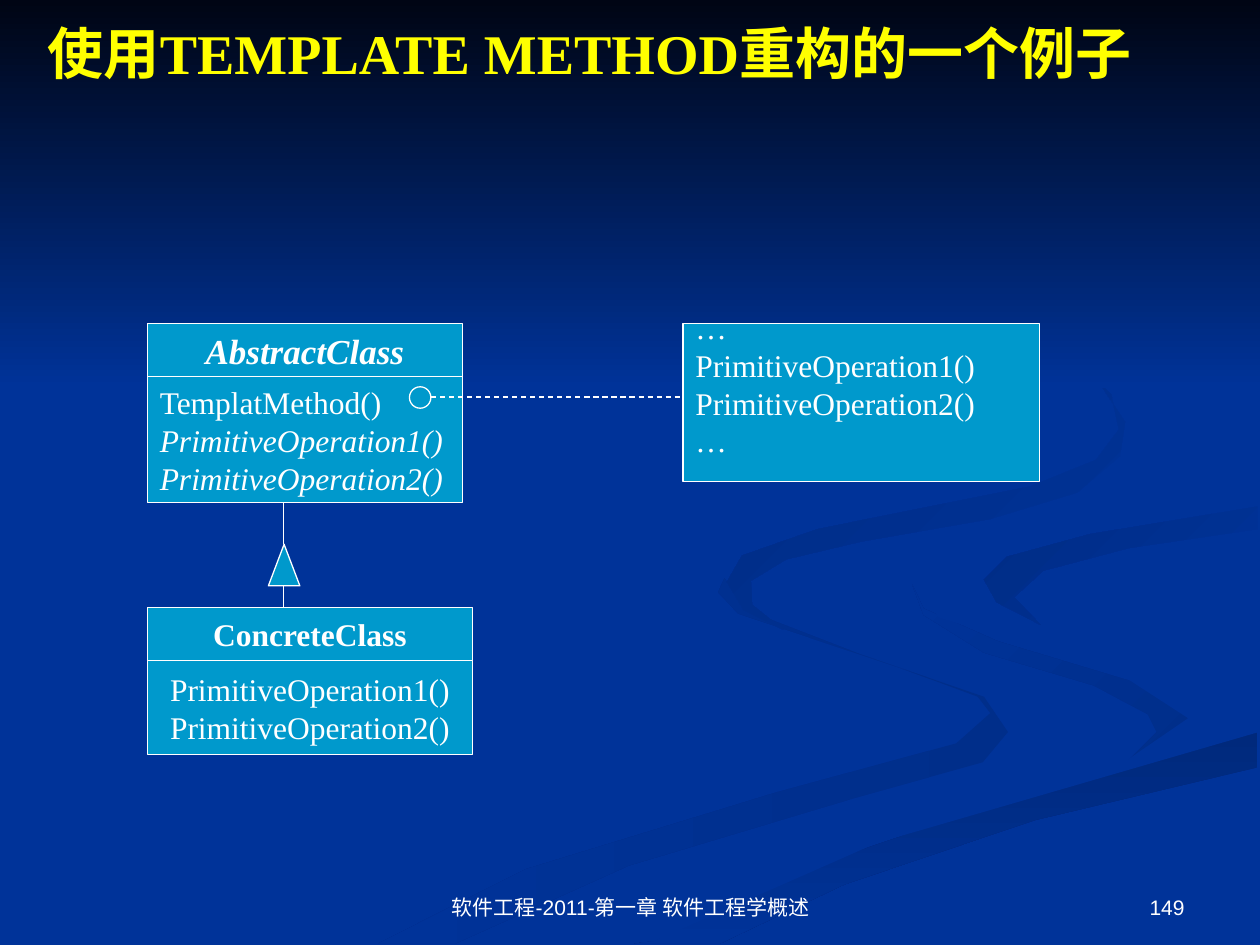
"""Template Method refactoring slide: class diagram on a blue swirl background."""
from pptx import Presentation
from pptx.dml.color import RGBColor
from pptx.enum.dml import MSO_LINE
from pptx.enum.shapes import MSO_CONNECTOR, MSO_SHAPE
from pptx.enum.text import MSO_ANCHOR, PP_ALIGN
from pptx.oxml.ns import qn
from pptx.util import Inches, Pt
from lxml import etree

BLUE, CYAN, WHITE = "003399", "0099CC", "FFFFFF"
SERIF = "Times New Roman"


def paint(color, hex_value):
    color.rgb = RGBColor.from_string(hex_value)


def write(sp, lines, size=18, font=SERIF, color=WHITE, bold=False, italic=(),
          align=PP_ALIGN.LEFT, anchor=MSO_ANCHOR.MIDDLE, wrap=False):
    tf = sp.text_frame
    tf.word_wrap = wrap
    tf.vertical_anchor = anchor
    for i, line in enumerate(lines):
        p = tf.paragraphs[0] if i == 0 else tf.add_paragraph()
        p.alignment = align
        r = p.add_run()
        r.text = line
        r.font.name, r.font.size = font, Pt(size)
        r.font.bold, r.font.italic = bold, i in italic
        paint(r.font.color, color)


prs = Presentation()
prs.slide_width, prs.slide_height = Inches(10), Inches(7.5)
s = prs.slides.add_slide(prs.slide_layouts[6])
s.background.fill.solid()
paint(s.background.fill.fore_color, BLUE)

swirls = [
    ("002E8A", BLUE, 180, [
        (575, 459), (570, 470), (586, 487), (714, 530), (776, 553), (786, 566), (759, 590),
        (616, 629), (417, 690), (300, 749), (361, 749), (499, 687), (676, 634), (780, 605),
        (800, 581), (781, 553), (682, 519), (594, 485)]),
    ("002E8A", BLUE, 225, [
        (724, 464), (733, 488), (781, 518), (868, 544), (911, 567), (918, 581), (894, 605),
        (937, 586), (943, 570), (919, 547), (792, 509), (733, 483)]),
    ("00297C", BLUE, 90, [
        (503, 749), (571, 749), (670, 702), (821, 651), (998, 609), (998, 581), (764, 647),
        (630, 693), (519, 747)]),
    (BLUE, BLUE, 0, [
        (725, 464), (745, 490), (889, 535), (943, 570), (892, 605), (704, 655), (477, 749),
        (519, 747), (696, 669), (999, 581), (999, 538), (832, 498), (781, 463), (850, 427),
        (999, 402), (999, 387), (788, 422)]),
    (BLUE, "002C85", 225, [
        (781, 460), (791, 478), (826, 496), (805, 474), (828, 453), (896, 435), (998, 420),
        (998, 402), (865, 424), (799, 442)]),
    (BLUE, "002B81", 225, [
        (683, 430), (786, 412), (855, 391), (889, 362), (893, 335), (864, 291), (810, 256),
        (762, 233), (846, 279), (882, 313), (888, 341), (870, 365), (818, 386), (649, 420),
        (589, 441), (577, 462), (590, 484), (622, 500), (597, 480), (596, 461), (624, 444)]),
    ("000514", BLUE, 90, [(0, 0), (0, 308), (1000, 308), (1000, 0)]),
]
for start, end, angle, pts in swirls:
    fb = s.shapes.build_freeform(*pts[0], scale=Inches(0.01))
    fb.add_line_segments(pts[1:], close=True)
    sp = fb.convert_to_shape()
    sp.shadow.inherit = False
    sp.line.fill.background()
    if start == end:
        sp.fill.solid()
        paint(sp.fill.fore_color, start)
    else:
        sp.fill.gradient()
        sp.fill.gradient_angle = 360 - angle
        for stop, color in zip(sp.fill.gradient_stops, (start, end)):
            paint(stop.color, color)

ops = ["PrimitiveOperation1()", "PrimitiveOperation2()"]
center = PP_ALIGN.CENTER
rect = MSO_SHAPE.RECTANGLE
nodes = [
    (rect, 1.17, 2.57, 2.5, 0.42, ["AbstractClass"],
     dict(size=20, bold=True, italic=(0,), align=center)),
    (rect, 1.17, 2.99, 2.5, 1, ["TemplatMethod()", *ops], dict(italic=(1, 2))),
    (MSO_SHAPE.OVAL, 3.25, 3.07, 0.17, 0.17, [], {}),
    (rect, 5.42, 2.57, 2.83, 1.25, ["…", *ops, "…"], {}),
    (MSO_SHAPE.ISOSCELES_TRIANGLE, 2.13, 4.32, 0.25, 0.33, [], {}),
    (rect, 1.17, 4.82, 2.58, 0.42, ["ConcreteClass"], dict(bold=True, align=center)),
    (rect, 1.17, 5.24, 2.58, 0.75, ops, dict(align=center)),
]
for kind, x, y, w, h, lines, fmt in nodes:
    sp = s.shapes.add_shape(kind, Inches(x), Inches(y), Inches(w), Inches(h))
    sp.shadow.inherit = False
    sp.fill.solid()
    paint(sp.fill.fore_color, CYAN)
    paint(sp.line.color, WHITE)
    sp.line.width = Pt(0.75)
    write(sp, lines, **fmt)
    if "…" in lines:
        sp.text_frame.margin_bottom = Inches(0.35)

for x1, y1, x2, y2, dash in [(3.42, 3.15, 5.42, 3.15, MSO_LINE.DASH),
                             (2.25, 3.99, 2.25, 4.32, None),
                             (2.25, 4.65, 2.25, 4.82, None)]:
    c = s.shapes.add_connector(MSO_CONNECTOR.STRAIGHT, Inches(x1), Inches(y1),
                               Inches(x2), Inches(y2))
    paint(c.line.color, WHITE)
    c.line.width = Pt(0.75)
    c.line.dash_style = dash
    etree.SubElement(c._element.spPr, qn("a:effectLst"))

footer = dict(size=12, font="Arial", anchor=MSO_ANCHOR.BOTTOM, wrap=True)
for x, y, w, h, line, fmt in [
    (0.28, 0.1, 9.24, 0.64, "使用TEMPLATE METHOD重构的一个例子",
     dict(size=32, color="FFFF00", bold=True, anchor=MSO_ANCHOR.TOP)),
    (3.42, 6.83, 3.17, 0.52, "软件工程-2011-第一章 软件工程学概述", dict(footer, align=center)),
    (7.17, 6.83, 2.33, 0.52, "149", dict(footer, align=PP_ALIGN.RIGHT)),
]:
    sp = s.shapes.add_textbox(Inches(x), Inches(y), Inches(w), Inches(h))
    write(sp, [line], **fmt)

prs.save("out.pptx")
